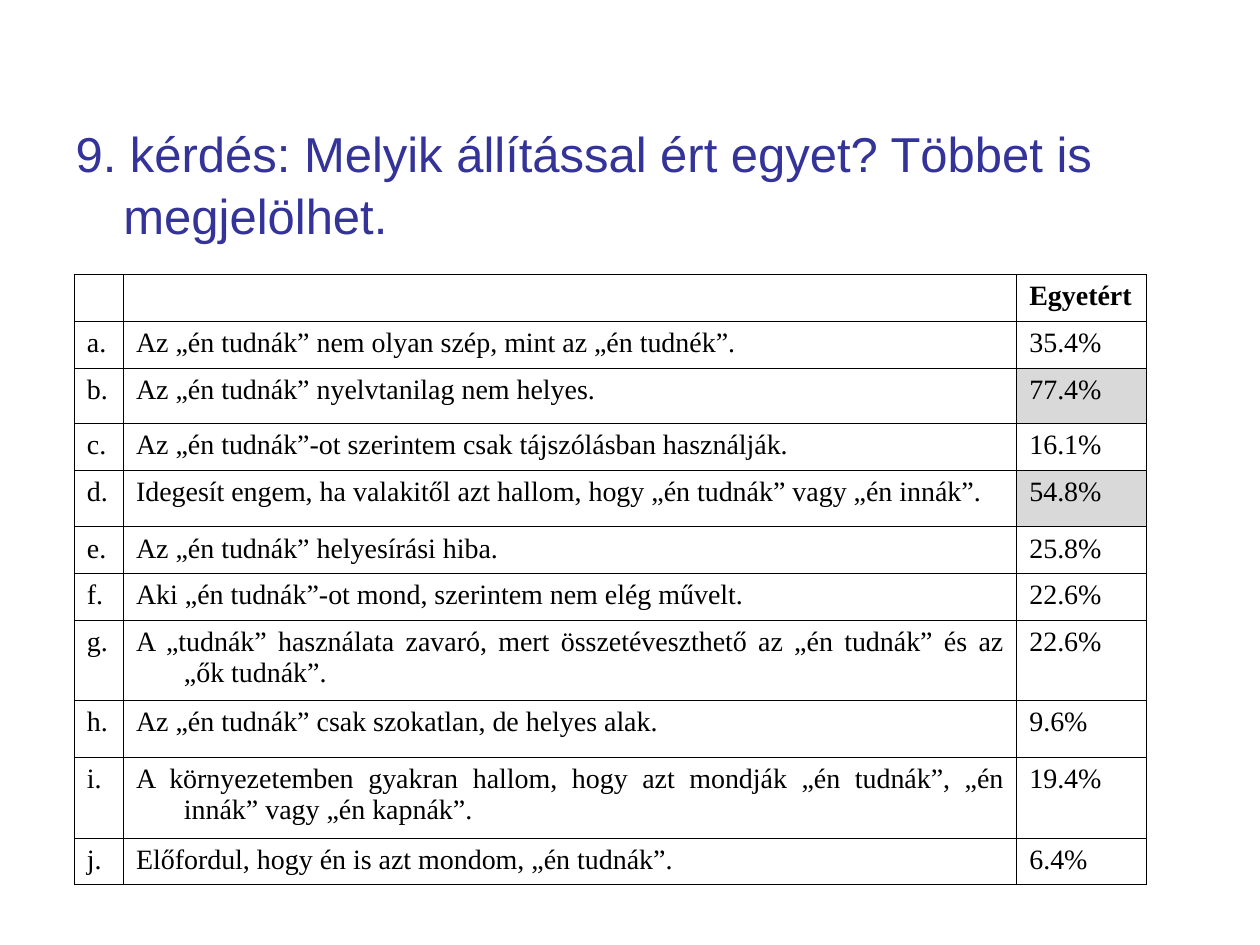
"""Build the survey question slide with its table of agreement rates."""
from lxml import etree
from pptx import Presentation, util as u
from pptx.dml.color import RGBColor
from pptx.enum import text
from pptx.oxml.ns import qn

COLORS = {"title": "333399", "ink": "000000", "highlight": "D9D9D9"}
TITLE = "9. kérdés: Melyik állítással ért egyet? Többet is megjelölhet."
HEADER = ("", "", "Egyetért")
ANSWERS = [
    ("Az „én tudnák” nem olyan szép, mint az „én tudnék”.", "35.4%", 0.37),
    ("Az „én tudnák” nyelvtanilag nem helyes.", "77.4%", 0.44),
    ("Az „én tudnák”-ot szerintem csak tájszólásban használják.", "16.1%", 0.37),
    ("Idegesít engem, ha valakitől azt hallom, hogy „én tudnák” vagy „én innák”.", "54.8%", 0.45),
    ("Az „én tudnák” helyesírási hiba.", "25.8%", 0.37),
    ("Aki „én tudnák”-ot mond, szerintem nem elég művelt.", "22.6%", 0.37),
    ("A „tudnák” használata zavaró, mert összetéveszthető az „én tudnák” és az „ők tudnák”.", "22.6%", 0.64),
    ("Az „én tudnák” csak szokatlan, de helyes alak.", "9.6%", 0.45),
    ("A környezetemben gyakran hallom, hogy azt mondják „én tudnák”, „én innák” vagy „én kapnák”.", "19.4%", 0.64),
    ("Előfordul, hogy én is azt mondom, „én tudnák”.", "6.4%", 0.37),
]
HIGHLIGHTED = {"77.4%", "54.8%"}
HEADER_HEIGHT = 0.37
COLUMN_WIDTHS = (0.39, 7.09, 1.03)
TABLE_LEFT, TABLE_TOP = 0.59, 2.18
HANGING = 0.38
BORDER_WIDTH = u.Pt(0.45)


def write(paragraph, content, font_name, size, color, bold=False):
    properties = paragraph._p.get_or_add_pPr()
    properties.set("marL", str(u.Inches(HANGING)))
    properties.set("indent", str(-u.Inches(HANGING)))
    if not content:
        etree.SubElement(paragraph._p, qn("a:endParaRPr"), sz=str(size * 100))
        return
    run = paragraph.add_run()
    run.text = content
    run.font.name = font_name
    run.font.size = u.Pt(size)
    run.font.bold = bold
    run.font.color.rgb = RGBColor.from_string(COLORS[color])


def add_borders(cell):
    properties = cell._tc.get_or_add_tcPr()
    for side in ("lnL", "lnR", "lnT", "lnB"):
        line = etree.SubElement(properties, qn(f"a:{side}"), w=str(BORDER_WIDTH))
        fill = etree.SubElement(line, qn("a:solidFill"))
        etree.SubElement(fill, qn("a:srgbClr"), val=COLORS["ink"])


def add_title(slide):
    title = slide.shapes.title
    title.left, title.top = u.Inches(0.5), u.Inches(0.91)
    title.width, title.height = u.Inches(9.07), u.Inches(5.78)
    frame = title.text_frame
    frame.word_wrap = True
    frame.auto_size = text.MSO_AUTO_SIZE.NONE
    frame.vertical_anchor = text.MSO_ANCHOR.TOP
    paragraph = frame.paragraphs[0]
    paragraph.alignment = text.PP_ALIGN.LEFT
    paragraph.space_before = u.Pt(7)
    paragraph.line_spacing = 1.05
    write(paragraph, TITLE, "Arial", 28, "title")


def add_answer_table(slide):
    rows = [HEADER] + [
        (f"{letter}.", statement, share)
        for letter, (statement, share, _) in zip("abcdefghij", ANSWERS)
    ]
    heights = [HEADER_HEIGHT] + [height for _, _, height in ANSWERS]
    table = slide.shapes.add_table(
        len(rows), len(COLUMN_WIDTHS), u.Inches(TABLE_LEFT), u.Inches(TABLE_TOP),
        u.Inches(sum(COLUMN_WIDTHS)), u.Inches(sum(heights)),
    ).table
    table.first_row = table.horz_banding = False
    for column, width in zip(table.columns, COLUMN_WIDTHS):
        column.width = u.Inches(width)
    for row, height, values in zip(table.rows, heights, rows):
        row.height = u.Inches(height)
        for cell, value in zip(row.cells, values):
            add_borders(cell)
            if value in HIGHLIGHTED:
                cell.fill.solid()
                cell.fill.fore_color.rgb = RGBColor.from_string(COLORS["highlight"])
            else:
                cell.fill.background()
            paragraph = cell.text_frame.paragraphs[0]
            paragraph.alignment = text.PP_ALIGN.JUSTIFY
            write(paragraph, value, "Times New Roman", 16, "ink", values is HEADER)


def main():
    presentation = Presentation()
    presentation.slide_width, presentation.slide_height = u.Inches(10), u.Inches(7.5)
    slide = presentation.slides.add_slide(presentation.slide_layouts[5])
    add_title(slide)
    add_answer_table(slide)
    presentation.save("out.pptx")


if __name__ == "__main__":
    main()
